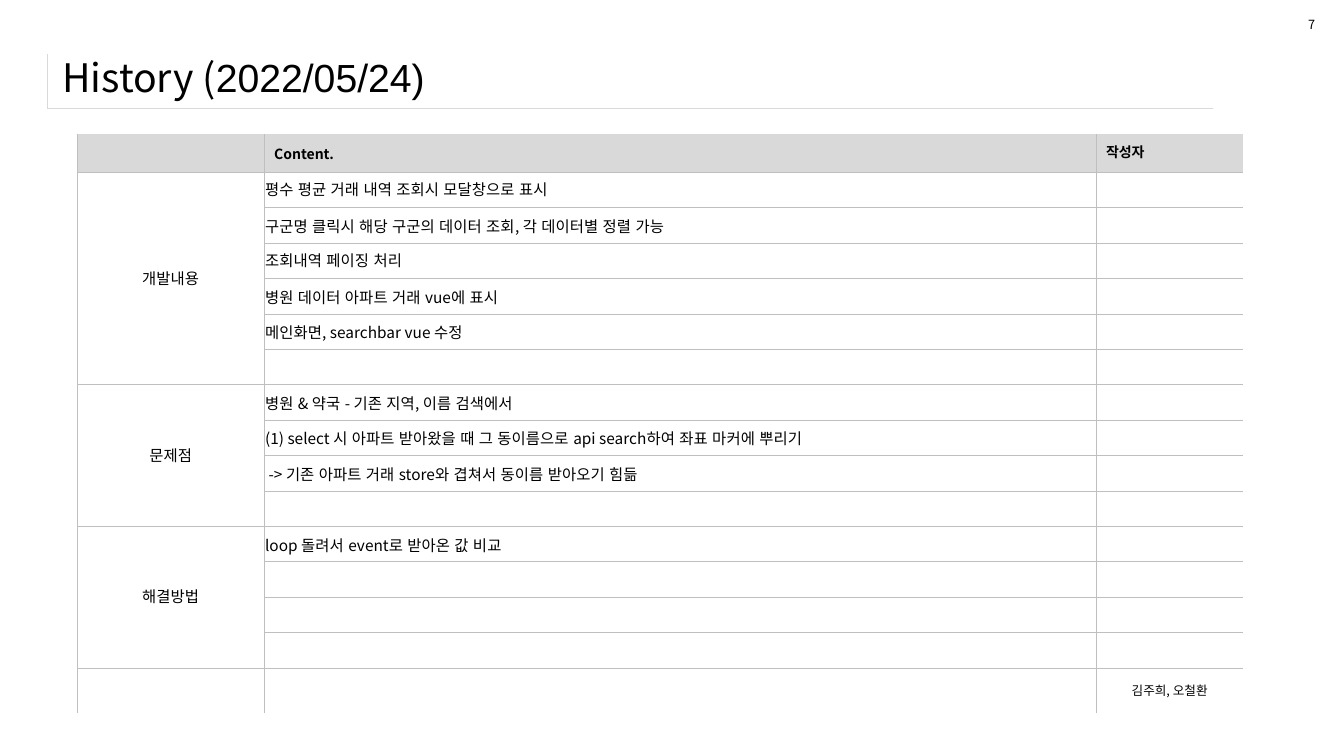
from lxml import etree
from pptx import Presentation
from pptx.dml.color import RGBColor
from pptx.enum.text import MSO_ANCHOR, PP_ALIGN
from pptx.oxml.ns import qn
from pptx.util import Pt

MIDDLE = MSO_ANCHOR.MIDDLE
LEFT, CENTER = PP_ALIGN.LEFT, PP_ALIGN.CENTER

BLACK = RGBColor(0x00, 0x00, 0x00)
WHITE = RGBColor(0xFF, 0xFF, 0xFF)
HEADER_GRAY = RGBColor(0xD9, 0xD9, 0xD9)
BORDER_GRAY = RGBColor(0xBF, 0xBF, 0xBF)
SANS, LATIN = "Noto Sans CJK KR", "Arial"

COL_WIDTHS = [133.5, 594.3, 105]
HEADER_H, ROW_H, LAST_H = 27.2, 25.3, 32.5

# Section name, number of rows, filled rows
SECTIONS = [
    ("개발내용", 6, [
        "평수 평균 거래 내역 조회시 모달창으로 표시",
        "구군명 클릭시 해당 구군의 데이터 조회, 각 데이터별 정렬 가능",
        "조회내역 페이징 처리",
        "병원 데이터 아파트 거래 vue에 표시",
        "메인화면, searchbar vue 수정",
    ]),
    ("문제점", 4, [
        "병원 & 약국 - 기존 지역, 이름 검색에서",
        "(1) select 시 아파트 받아왔을 때 그 동이름으로 api search하여 좌표 마커에 뿌리기",
        "-> 기존 아파트 거래 store와 겹쳐서 동이름 받아오기 힘듦",
    ]),
    ("해결방법", 4, ["loop 돌려서 event로 받아온 값 비교"]),
]


def style_paragraph(p, size, bold=False, align=LEFT):
    p.alignment = align
    p.font.size, p.font.bold, p.font.name = Pt(size), bold, SANS
    p.font.color.rgb = BLACK
    props = p._p.pPr.find(qn("a:defRPr"))
    props.find(qn("a:latin")).addnext(
        etree.Element(qn("a:ea"), typeface=LATIN))


def add_text(s, x, y, w, h, wrap):
    tf = s.shapes.add_textbox(Pt(x), Pt(y), Pt(w), Pt(h)).text_frame
    tf.word_wrap = wrap
    return tf


def add_title(s):
    tf = add_text(s, 37.5, 32.2, 899, 45.4, True)
    tf.vertical_anchor = MIDDLE
    p = tf.paragraphs[0]
    for text, font in (("History (", SANS), ("2022/05/24)", LATIN)):
        r = p.add_run()
        r.text = text
        r.font.name, r.font.size = font, Pt(28)
        r.font.color.rgb = BLACK


def add_grid(s, x, y, widths, heights):
    table = s.shapes.add_table(
        len(heights), len(widths), Pt(x), Pt(y),
        Pt(sum(widths)), Pt(sum(heights))).table
    table.first_row = table.horz_banding = False
    for col, width in zip(table.columns, widths):
        col.width = Pt(width)
    for row, height in zip(table.rows, heights):
        row.height = Pt(height)
    return table


def style_cell(cell, shown, color, fill_color=None):
    tc_pr = cell._tc.get_or_add_tcPr()
    for side in "LRTB":
        ln = etree.SubElement(tc_pr, qn("a:ln" + side), w=str(Pt(0.25)))
        if side in shown:
            fill = etree.SubElement(ln, qn("a:solidFill"))
            etree.SubElement(fill, qn("a:srgbClr"), val=str(color))
        else:
            etree.SubElement(ln, qn("a:noFill"))
    if fill_color is None:
        cell.fill.background()
    else:
        cell.fill.solid()
        cell.fill.fore_color.rgb = fill_color
    cell.vertical_anchor = MIDDLE


def tighten(cell):
    cell.margin_left = cell.margin_right = Pt(0.7)
    cell.margin_top, cell.margin_bottom = Pt(0.7), 0


def fill_cell(cell, text, size=11, bold=False, align=LEFT):
    cell.text = text
    style_paragraph(cell.text_frame.paragraphs[0], size, bold, align)


def add_title_rule(s):
    cell = add_grid(s, 34, 38.9, [832.3], [38.3]).cell(0, 0)
    style_cell(cell, "LB", HEADER_GRAY)


def add_history_table(s):
    heights = [HEADER_H] + [ROW_H] * sum(n for _, n, _ in SECTIONS) + [LAST_H]
    last_row, last_col = len(heights) - 1, len(COL_WIDTHS) - 1
    table = add_grid(s, 55.2, 95.8, COL_WIDTHS, heights)

    # Grid: the outer right, top and bottom edges stay open
    for i in range(len(heights)):
        for j in range(len(COL_WIDTHS)):
            cell = table.cell(i, j)
            shown = ("L" + "R" * (j < last_col)
                     + "T" * (i > 0) + "B" * (i < last_row))
            style_cell(cell, shown, BORDER_GRAY, None if i else HEADER_GRAY)
            if 0 < i < last_row:
                tighten(cell)
    tighten(table.cell(0, 0))

    # Header and authors
    fill_cell(table.cell(0, 1), "Content.", 10, True)
    fill_cell(table.cell(0, 2), "작성자", 10, True)
    fill_cell(table.cell(last_row, last_col), "김주희, 오철환", 9, align=CENTER)

    # Sections
    row = 1
    for name, count, lines in SECTIONS:
        table.cell(row, 0).merge(table.cell(row + count - 1, 0))
        fill_cell(table.cell(row, 0), name, align=CENTER)
        for i, text in enumerate(lines, row):
            fill_cell(table.cell(i, 1), text)
            if text.startswith("->"):
                table.cell(i, 1).margin_left = Pt(3.2)
        row += count


def main():
    prs = Presentation()
    prs.slide_width, prs.slide_height = Pt(960), Pt(540)
    s = prs.slides.add_slide(prs.slide_layouts[6])
    s.background.fill.solid()
    s.background.fill.fore_color.rgb = WHITE

    # Title with its corner rule
    add_title_rule(s)
    add_title(s)

    add_history_table(s)

    # Page number
    p = add_text(s, 927.4, 8.6, 19.4, 18, False).paragraphs[0]
    p.text = "7"
    style_paragraph(p, 9)

    prs.save("out.pptx")


if __name__ == "__main__":
    main()
